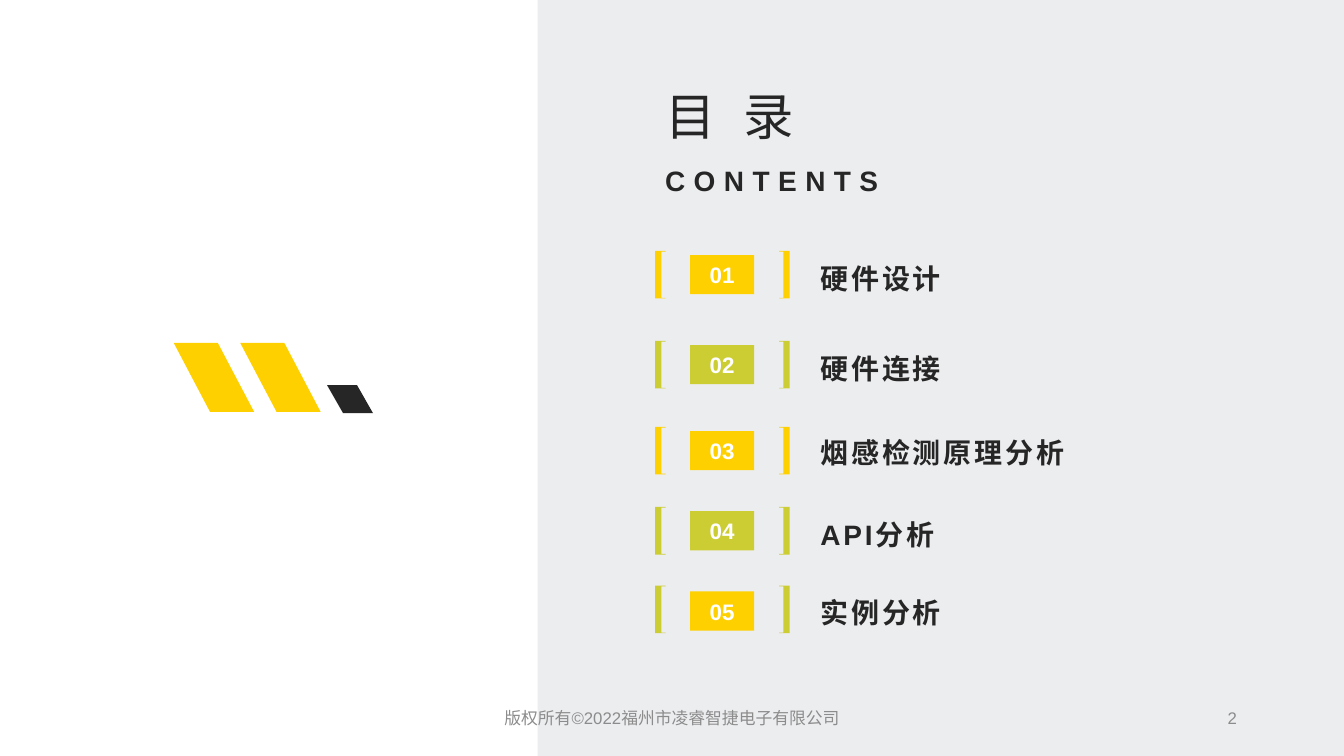
from dataclasses import dataclass
from pptx import Presentation
from pptx.dml.color import RGBColor
from pptx.enum.shapes import MSO_SHAPE
from pptx.enum.text import MSO_ANCHOR, MSO_AUTO_SIZE, PP_ALIGN
from pptx.util import Pt

RECT, SLANT = MSO_SHAPE.RECTANGLE, MSO_SHAPE.PARALLELOGRAM
TOP, MIDDLE = MSO_ANCHOR.TOP, MSO_ANCHOR.MIDDLE
LEFT, CENTER, RIGHT = PP_ALIGN.LEFT, PP_ALIGN.CENTER, PP_ALIGN.RIGHT
NO_FIT = MSO_AUTO_SIZE.NONE


@dataclass(frozen=True)
class Theme:
    font: str = "Arial"
    yellow: str = "FED000"
    green: str = "CBCD33"
    dark: str = "262626"
    panel: str = "ECEDEF"
    white: str = "FFFFFF"
    grey: str = "8C8C8C"
    title: int = 36
    head: int = 20
    badge: int = 16
    foot: int = 12


T = Theme()

# top of the row, label, bracket colour, badge colour, badge drop, line spacing
ROWS = [
    (179.2, "硬件设计", T.yellow, T.yellow, 3, 1.2),
    (243.5, "硬件连接", T.green, T.green, 3, 1.2),
    (304.9, "烟感检测原理分析", T.yellow, T.yellow, 3, 1.1),
    (362.1, "API分析", T.green, T.green, 3, 1.2),
    (418.3, "实例分析", T.green, T.yellow, 4.2, 1.2),
]


def place(shape, x, y, w, h):
    box = {"left": x, "top": y, "width": w, "height": h}
    for name, value in box.items():
        setattr(shape, name, Pt(value))


def paint(shape, color):
    shape.shadow.inherit = False
    shape.fill.solid()
    shape.fill.fore_color.rgb = RGBColor.from_string(color)
    shape.line.fill.background()


def write(shape, text, size, color, bold=False, gap=0, align=LEFT,
          anchor=TOP, lines=1.0):
    """Put one formatted paragraph in the shape; gap is letter spacing in points."""
    frame = shape.text_frame
    frame.text = text
    para = frame.paragraphs[0]
    run = para.runs[0]
    formats = [
        (frame, {"word_wrap": True, "auto_size": NO_FIT,
                 "vertical_anchor": anchor}),
        (para, {"alignment": align, "line_spacing": lines}),
        (run.font, {"name": T.font, "size": Pt(size), "bold": bold}),
    ]
    for target, values in formats:
        for name, value in values.items():
            setattr(target, name, value)
    run.font.color.rgb = RGBColor.from_string(color)
    if gap:
        run.font._element.set("spc", str(gap * 100))


def label(slide, box, text, size, color, **style):
    shape = slide.shapes.add_textbox(*map(Pt, box))
    write(shape, text, size, color, **style)


def block(slide, kind, box, color):
    shape = slide.shapes.add_shape(kind, *map(Pt, box))
    paint(shape, color)
    return shape


def emblem(slide, x, y):
    """Two tall slanted bars and a small one to their right."""
    bars = [
        (0, 0, 57.4, 49.2, 0.527, "flipV", T.yellow),
        (47.5, 0, 57.4, 49.2, 0.527, "flipV", T.yellow),
        (109.6, 30.2, 32.8, 20, 0.57, "flipH", T.dark),
    ]
    for dx, dy, w, h, slope, flip, color in bars:
        bar = block(slide, SLANT, (x + dx, y + dy, w, h), color)
        bar.adjustments[0] = slope
        bar._element.spPr.xfrm.set(flip, "1")


def bracket(slide, x, y, h, color, side):
    """Bracket with its spine at x, opening right (side 1) or left (side -1)."""
    spine, tip, thin = 4.5 * side, 7.4 * side, 0.5
    points = [(0, 0), (tip, 0), (tip, thin), (spine, thin),
              (spine, h - thin), (tip, h - thin), (tip, h), (0, h)]
    path = [(Pt(x + dx), Pt(y + dy)) for dx, dy in points]
    form = slide.shapes.build_freeform(*path[0])
    form.add_line_segments(path[1:], close=True)
    paint(form.convert_to_shape(), color)


def row(slide, x, y, number, text, edge, fill, drop, lines):
    label(slide, (x + 110.9, y - 15.1, 258, 64), text, T.head, T.dark,
          bold=True, gap=2, anchor=MIDDLE, lines=lines)
    bracket(slide, x, y, 34, edge, 1)
    bracket(slide, x + 96, y, 34, edge, -1)
    badge = block(slide, RECT, (x + 25, y + drop, 45.6, 28), fill)
    write(badge, f"{number:02}", T.badge, T.white, bold=True,
          align=CENTER, anchor=MIDDLE)


def heading(slide, x, y, w):
    title = slide.shapes.title
    slide.shapes._spTree.append(title._element)
    place(title, x, y, w, 55.4)
    write(title, "目 录", T.title, T.dark, gap=6, lines=1.1)
    label(slide, (x, y + 58.3, w, 33), "CONTENTS", T.head, T.dark,
          bold=True, gap=6, lines=1.1)


def footer(slide, y, h):
    label(slide, (678, y, 212.6, h), "2", T.foot, T.grey,
          align=RIGHT, anchor=MIDDLE)
    label(slide, (324, y, 312, h), "版权所有©2022福州市凌睿智捷电子有限公司",
          T.foot, T.grey, align=CENTER, anchor=MIDDLE)


def contents(deck):
    slide = deck.slides.add_slide(deck.slide_layouts[5])
    emblem(slide, 124.1, 245)
    block(slide, RECT, (384, 0, 576, 540), T.panel)
    heading(slide, 468, 52.6, 259)
    for number, (y, text, *style) in enumerate(ROWS, 1):
        row(slide, 468, y, number, text, *style)
    footer(slide, 500, 25)


def main():
    deck = Presentation()
    deck.slide_width, deck.slide_height = Pt(960), Pt(540)
    contents(deck)
    deck.save("out.pptx")


if __name__ == "__main__":
    main()
